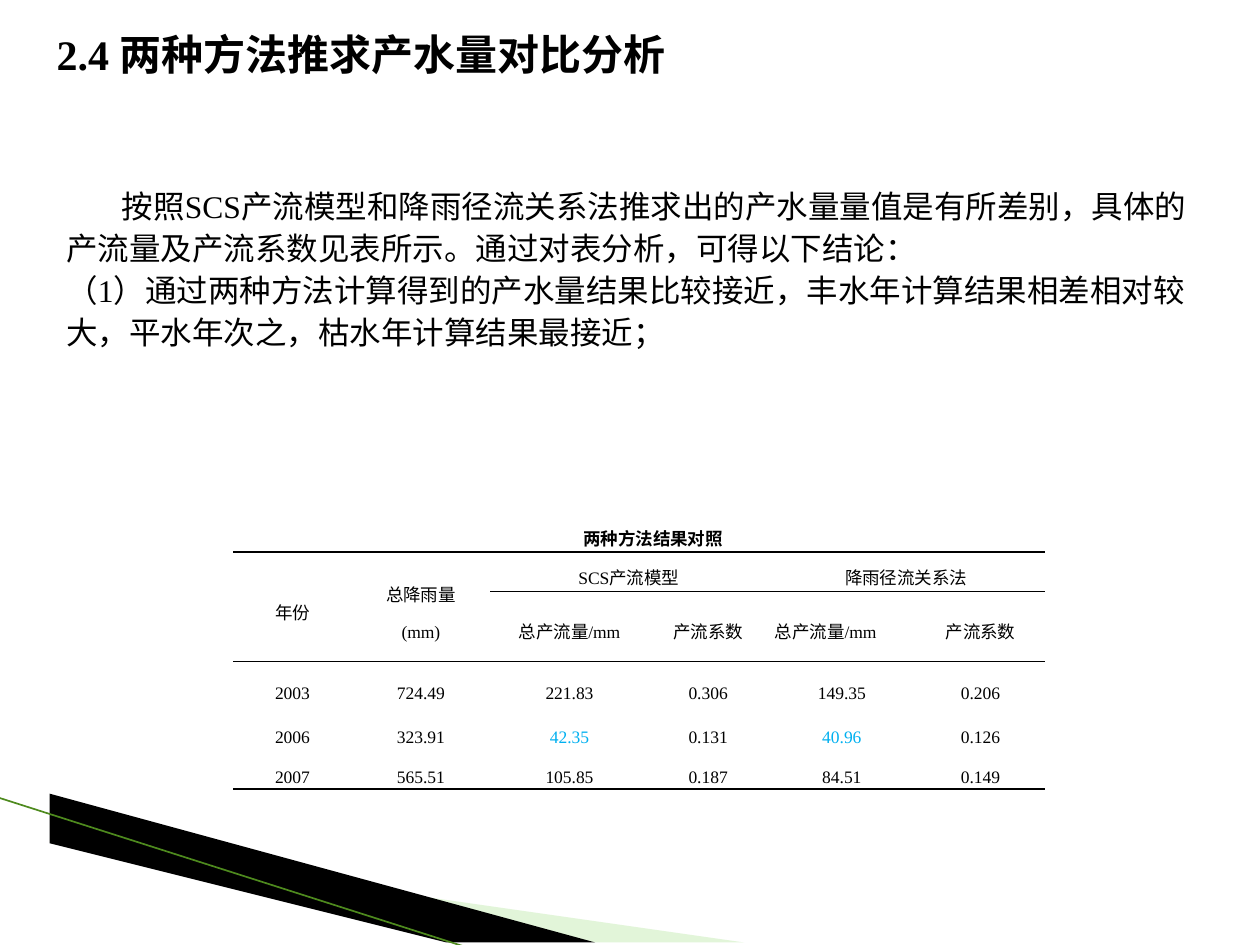
from lxml.etree import SubElement
from pptx import Presentation
from pptx.dml.color import RGBColor as RGB
from pptx.enum.shapes import MSO_CONNECTOR as Link
from pptx.enum.text import MSO_ANCHOR as Anchor, PP_ALIGN as Align
from pptx.oxml.ns import qn
from pptx.util import Cm, Pt

HUES = {"ink": "000000", "mint": "B8E7A1", "green": "4E8A1E", "blue": "00B0F0"}
TITLE = "2.4 两种方法推求产水量对比分析"
BODY = [
    "按照SCS产流模型和降雨径流关系法推求出的产水量量值是有所差别，具体的产流量及产流系数见表所示。通过对表分析，可得以下结论：",
    "（1）通过两种方法计算得到的产水量结果比较接近，丰水年计算结果相差相对较大，平水年次之，枯水年计算结果最接近；",
]
NOTE = "两种方法结果对照"
ROWS = [
    ["年份", "总降雨量\n(mm)", "SCS产流模型", "", "降雨径流关系法", ""],
    ["", "", "总产流量/mm", "产流系数", "总产流量/mm", "产流系数"],
    ["2003", "724.49", "221.83", "0.306", "149.35", "0.206"],
    ["2006", "323.91", "42.35", "0.131", "40.96", "0.126"],
    ["2007", "565.51", "105.85", "0.187", "84.51", "0.149"],
]
WIDTHS = [2.39, 2.79, 3.2, 2.39, 3, 2.59]
HEIGHTS = [0.79, 0.79, 0.99, 0.79, 0.79]
SPANS = [(0, 0, 1, 0), (0, 1, 1, 1), (0, 2, 0, 3), (0, 4, 0, 5)]
RULES = {0: 1.5, 1: 1, 2: 1, 5: 1.5}
MARKS = {(3, 2), (3, 4)}


class Page:
    """Holds the text style and the current slide."""

    def __init__(self, slide, face):
        self.shapes = slide.shapes
        self.face = face

    def put(self, item, form):
        for name, value in form.items():
            setattr(item, name, value)

    def hue(self, name):
        return RGB.from_string(HUES[name])

    def words(self, frame, lines, font, para, hue="ink"):
        for i, line in enumerate(lines):
            par = frame.add_paragraph() if i else frame.paragraphs[0]
            self.put(par, para)
            run = par.add_run()
            run.text = line
            self.put(run.font, {"name": self.face, **font})
            run.font.color.rgb = self.hue(hue)

    def text(self, box, lines, font, para={}, form={}):
        frame = self.shapes.add_textbox(*map(Cm, box)).text_frame
        self.put(frame, {"word_wrap": True, **form})
        self.words(frame, lines, font, para)
        return frame

    def free(self, points, hue, alpha=None):
        pen = self.shapes.build_freeform(*points[0], scale=Cm(1))
        pen.add_line_segments(points[1:], close=True)
        shape = pen.convert_to_shape()
        shape.shadow.inherit = False
        shape.fill.solid()
        shape.fill.fore_color.rgb = self.hue(hue)
        shape.line.fill.background()
        if alpha:
            tint = shape._element.spPr.find(".//" + qn("a:srgbClr"))
            SubElement(tint, qn("a:alpha"), val=str(alpha * 1000))

    def line(self, ends, hue, width):
        line = self.shapes.add_connector(Link.STRAIGHT, *map(Cm, ends))
        line.line.color.rgb = self.hue(hue)
        line.line.width = Pt(width)
        SubElement(line._element.spPr, qn("a:effectLst"))

    def edge(self, cell, side, width):
        props = cell._tc.get_or_add_tcPr()
        edge = SubElement(props, qn("a:ln" + side), w=str(Pt(width)))
        if width:
            fill = SubElement(edge, qn("a:solidFill"))
            SubElement(fill, qn("a:srgbClr"), val=HUES["ink"])
        else:
            SubElement(edge, qn("a:noFill"))

    def rule(self, row, col):
        return 0 if row == 1 and col < 2 else RULES.get(row, 0)

    def table(self, box, font):
        size = len(ROWS), len(WIDTHS)
        grid = self.shapes.add_table(*size, *map(Cm, box)).table
        self.put(grid, {"first_row": False, "horz_banding": False})
        for col, width in zip(grid.columns, WIDTHS):
            col.width = Cm(width)
        for row, height in zip(grid.rows, HEIGHTS):
            row.height = Cm(height)
        for top, left, low, right in SPANS:
            grid.cell(top, left).merge(grid.cell(low, right))
        for r, row in enumerate(ROWS):
            for c, label in enumerate(row):
                self.cell(grid.cell(r, c), r, c, label, font)

    def cell(self, cell, r, c, label, font):
        pad = {"margin_left": Cm(0.15), "margin_right": Cm(0.15)}
        flat = {"margin_top": 0, "margin_bottom": 0}
        self.put(cell, {"vertical_anchor": Anchor.MIDDLE, **pad, **flat})
        low = self.rule(r + cell.span_height, c)
        for side, width in zip("LRTB", (0, 0, self.rule(r, c), low)):
            self.edge(cell, side, width)
        cell.fill.background()
        if label:
            side = Align.JUSTIFY if (r, c) == (1, 4) else Align.CENTER
            para = {"alignment": side, "line_spacing": Pt(20)}
            hue = "blue" if (r, c) in MARKS else "ink"
            self.words(cell.text_frame, label.split("\n"), font, para, hue)


def main():
    deck = Presentation()
    deck.slide_width, deck.slide_height = Cm(25.4), Cm(19.05)
    page = Page(deck.slides.add_slide(deck.slide_layouts[6]), "Times New Roman")
    page.free([(1.4, 16.54), (15.11, 19.08), (11.58, 19.08), (1.4, 16.51)], "mint", 40)
    page.free([(1.35, 16.48), (11.61, 19.08), (9.45, 19.1), (1.37, 16.51)], "ink")
    page.line((-0.03, 16.08, 9.42, 19.1), "green", 0.95)
    page.text((0.89, 0.53, 22.86, 1.12), [TITLE], {"size": Pt(24), "bold": True},
              form={"vertical_anchor": Anchor.MIDDLE})
    body = page.text((1.09, 2.72, 23.27, 5.38), BODY, {"size": Pt(18)},
                     {"line_spacing": Pt(24)}, {"margin_top": Cm(0.97)})
    body.paragraphs[0]._p.get_or_add_pPr().set("indent", str(Cm(1.12)))
    page.table((4.7, 11.13, 16.4, 4.18), {"size": Pt(10)})
    page.text((11.51, 10.52, 3.35, 0.69), [NOTE],
              {"name": "Arial", "size": Pt(10), "bold": True}, form={"word_wrap": False})
    deck.save("out.pptx")


if __name__ == "__main__":
    main()
